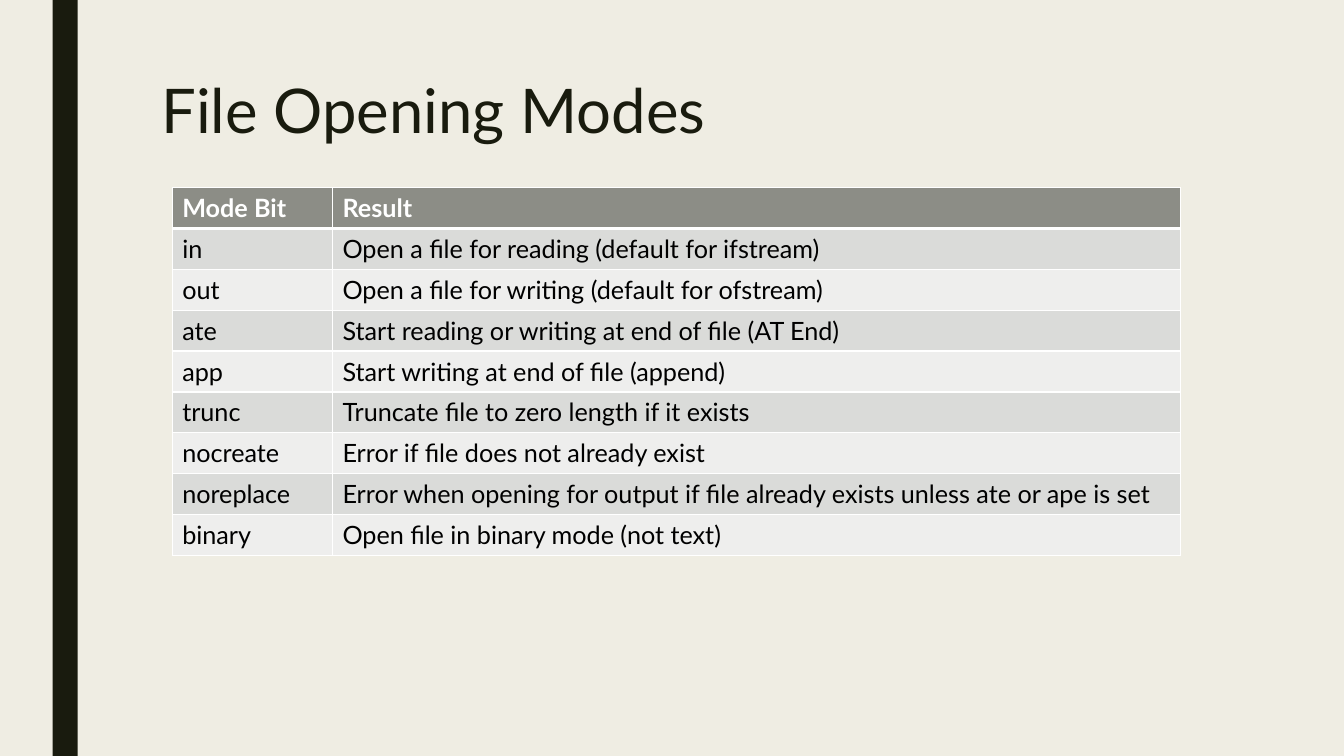
from lxml.etree import SubElement
from pptx import Presentation
from pptx.dml.color import RGBColor
from pptx.enum.shapes import MSO_SHAPE as Shape
from pptx.enum.text import MSO_ANCHOR as Anchor, PP_ALIGN as Align
from pptx.oxml.ns import qn
from pptx.util import Pt

FONT = "Lato"
COLORS = {
    "background": "EFEDE3",
    "dark": "191B0E",
    "header": "8C8D86",
    "odd_row": "DADBD9",
    "even_row": "EEEEED",
    "white": "FFFFFF",
    "black": "000000",
}
MODES = [
    ("Mode Bit", "Result"),
    ("in", "Open a file for reading (default for ifstream)"),
    ("out", "Open a file for writing (default for ofstream)"),
    ("ate", "Start reading or writing at end of file (AT End)"),
    ("app", "Start writing at end of file (append)"),
    ("trunc", "Truncate file to zero length if it exists"),
    ("nocreate", "Error if file does not already exist"),
    ("noreplace", "Error when opening for output if file already exists unless ate or ape is set"),
    ("binary", "Open file in binary mode (not text)"),
]


def set_fill(fill, color):
    fill.solid()
    fill.fore_color.rgb = RGBColor.from_string(COLORS[color])


def add_run(paragraph, text, size, color, bold=False):
    run = paragraph.add_run()
    run.text = text
    run.font.name = FONT
    run.font.size = Pt(size)
    run.font.bold = bold
    run.font.color.rgb = RGBColor.from_string(COLORS[color])


def set_borders(cell, widths):
    properties = cell._tc.get_or_add_tcPr()
    for position, (side, width) in enumerate(widths.items()):
        line = properties.makeelement(qn(f"a:{side}"), {"w": str(Pt(width))})
        fill = SubElement(line, qn("a:solidFill"))
        SubElement(fill, qn("a:srgbClr"), val=COLORS["white"])
        properties.insert(position, line)


def add_side_bar(slide, left, top, width, height):
    bar = slide.shapes.add_shape(Shape.RECTANGLE, Pt(left), Pt(top), Pt(width), Pt(height))
    bar.shadow.inherit = False
    set_fill(bar.fill, "dark")
    bar.line.fill.background()


def add_title(slide, left, top, width, height):
    title = slide.shapes.title
    title.left, title.top = Pt(left), Pt(top)
    title.width, title.height = Pt(width), Pt(height)
    frame = title.text_frame
    frame.word_wrap = True
    frame.vertical_anchor = Anchor.TOP
    paragraph = frame.paragraphs[0]
    paragraph.alignment = Align.LEFT
    paragraph.line_spacing = 0.89
    add_run(paragraph, "File Opening Modes", 44, "dark")


def add_modes_table(slide, left, top, width, height):
    frame = slide.shapes.add_table(
        len(MODES), len(MODES[0]), Pt(left), Pt(top), Pt(width), Pt(height))
    table = frame.table
    mode_width = 114.5
    table.columns[0].width = Pt(mode_width)
    table.columns[1].width = Pt(width - mode_width)
    for row_index, texts in enumerate(MODES):
        table.rows[row_index].height = Pt(height / len(MODES))
        is_header = row_index == 0
        fill = "header" if is_header else "odd_row" if row_index % 2 else "even_row"
        widths = {"lnL": 1, "lnR": 1, "lnT": 3 if row_index == 1 else 1,
                  "lnB": 3 if is_header else 1}
        for column_index, text in enumerate(texts):
            cell = table.cell(row_index, column_index)
            set_fill(cell.fill, fill)
            set_borders(cell, widths)
            add_run(cell.text_frame.paragraphs[0], text, 18,
                    "white" if is_header else "black", is_header)


def build_modes_slide(presentation):
    slide = presentation.slides.add_slide(presentation.slide_layouts[5])
    set_fill(slide.background.fill, "background")
    add_side_bar(slide, 37.5, 0, 18, 540)
    add_title(slide, 108, 54, 756, 62.5)
    add_modes_table(slide, 123, 134, 720, 262.8)


def main():
    presentation = Presentation()
    presentation.slide_width, presentation.slide_height = Pt(960), Pt(540)
    build_modes_slide(presentation)
    presentation.save("out.pptx")


if __name__ == "__main__":
    main()
